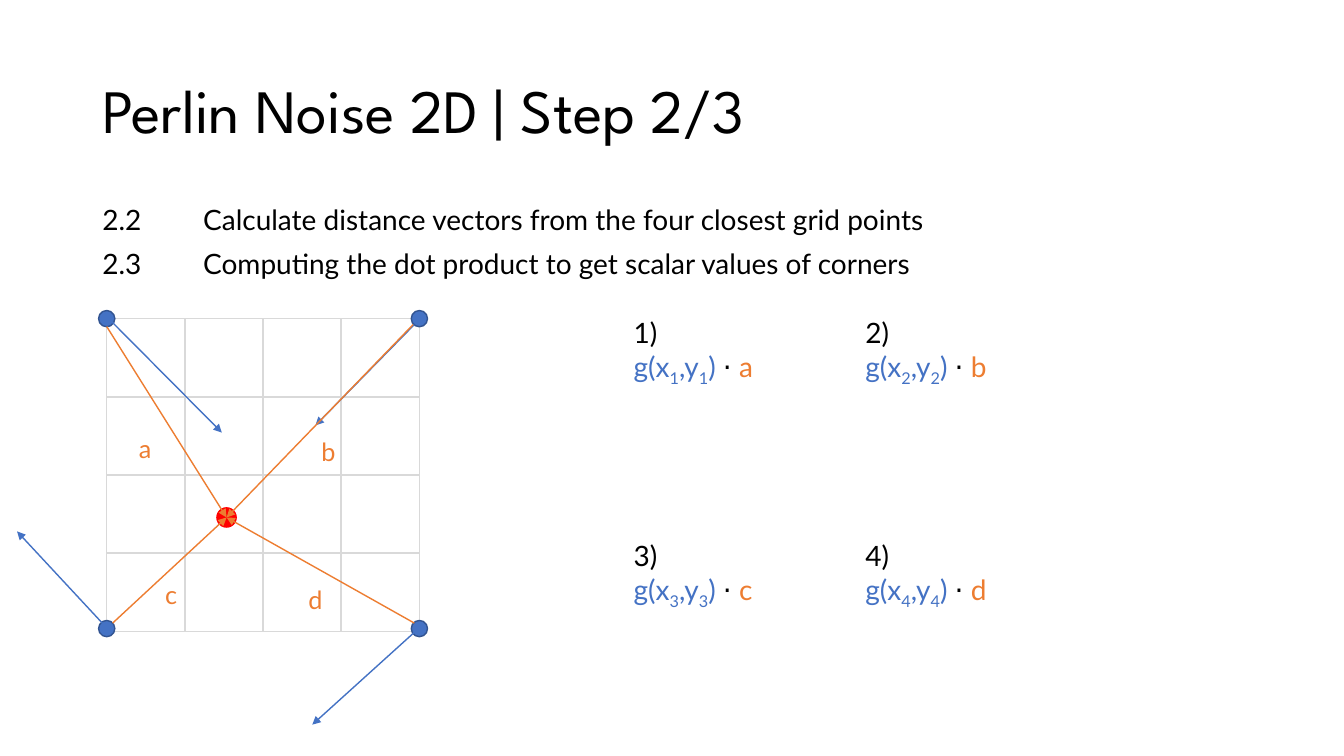
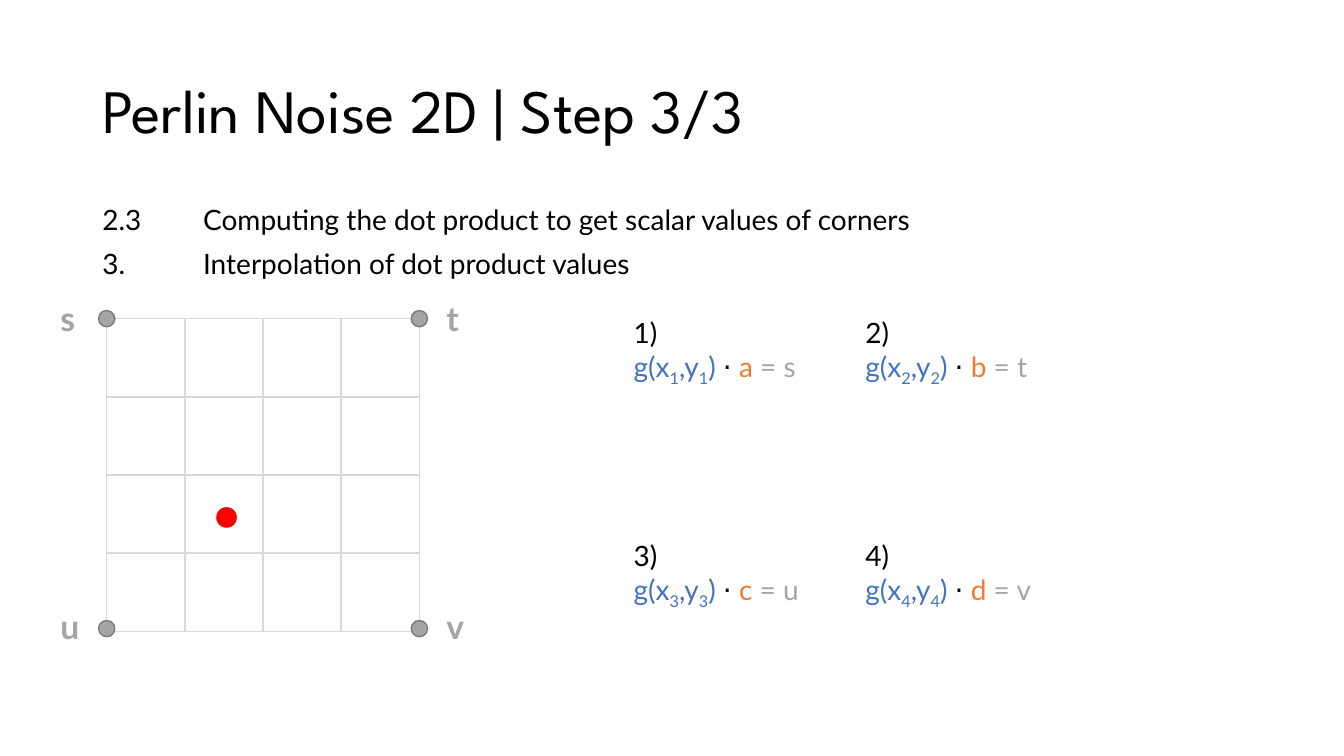
"""Build two slides that explain steps 2 and 3 of 2D Perlin noise."""
import pptx
import pptx.dml.color
import pptx.enum.shapes
import pptx.enum.text
import pptx.oxml
import pptx.oxml.ns
import pptx.util

Cm = pptx.util.Cm
Pt = pptx.util.Pt
SHAPE = pptx.enum.shapes.MSO_SHAPE
ANCHOR = pptx.enum.text.MSO_ANCHOR

BLACK, BLUE, BLUE_EDGE = "000000", "4472C4", "325491"
ORANGE, GREY, GREY_EDGE = "ED7D31", "A5A5A5", "7A7A7A"
GRID_LINE, RED = "D9D9D9", "FF0000"

TITLE = {"name": "League Spartan", "size": Pt(44)}
BODY = {"name": "Lato", "size": Pt(20)}
LABEL = {"name": "Lato", "size": Pt(18)}
VALUE = {"name": "Lato", "size": Pt(24), "bold": True}

DOT_PRODUCT = ("2.3", "Computing the dot product to get scalar values of corners")
SLIDES = [
    {"title": "Perlin Noise 2D | Step 2/3",
     "steps": [("2.2", "Calculate distance vectors from the four closest grid points"),
               DOT_PRODUCT],
     "corner": (BLUE, BLUE_EDGE), "vectors": True},
    {"title": "Perlin Noise 2D | Step 3/3",
     "steps": [DOT_PRODUCT, ("3.", "Interpolation of dot product values")],
     "corner": (GREY, GREY_EDGE), "vectors": False},
]

CORNERS = [
    {"distance": "a", "value": "s", "gradient": (2.74, 8.03, 5.59, 10.9),
     "start": (2.69, 8.23), "label": (3.25, 10.8)},
    {"distance": "b", "value": "t", "gradient": (10.44, 8.18, 7.95, 10.72),
     "start": (10.41, 8.18), "label": (7.85, 10.87)},
    {"distance": "c", "value": "u", "gradient": (2.67, 15.8, 0.43, 13.39),
     "start": (2.84, 15.7), "label": (3.91, 14.48)},
    {"distance": "d", "value": "v", "gradient": (10.59, 15.8, 7.87, 18.26),
     "start": (10.44, 15.7), "label": (7.52, 14.61)},
]

CELLS, CELL = 4, 1.97
GRID_X, GRID_Y = 2.69, 8.03
CORNER_X, CORNER_Y = (2.69, 10.57), (8.03, 15.84)
VALUE_X, VALUE_Y = (1.27, 11), (7.39, 15.14)
FORMULA_X, FORMULA_Y = (15.72, 21.56), (7.83, 13.45)
SAMPLE = (5.71, 13.04)
HANG = Cm(2.54)


def rgb(value):
    return pptx.dml.color.RGBColor.from_string(value)


def add_run(p, text, style, color, subscript=False):
    r = p.add_run()
    r.text = text
    for name, value in style.items():
        setattr(r.font, name, value)
    r.font.color.rgb = rgb(color)
    if subscript:
        r._r.get_or_add_rPr().set("baseline", "-25000")


def add_box(s, x, y, w, h, wrap=True, anchor=ANCHOR.TOP):
    tf = s.shapes.add_textbox(Cm(x), Cm(y), Cm(w), Cm(h)).text_frame
    tf.word_wrap = wrap
    tf.vertical_anchor = anchor
    return tf


def add_label(s, text, position, style, color):
    tf = add_box(s, *position, 0.85, 1.1, wrap=False)
    add_run(tf.paragraphs[0], text, style, color)


def add_heading(s, title, steps):
    p = add_box(s, 2.33, 1.02, 29.21, 3.68, anchor=ANCHOR.MIDDLE).paragraphs[0]
    p.line_spacing = 0.9
    add_run(p, title, TITLE, BLACK)
    tf = add_box(s, 2.33, 5.08, 29.21, 2)
    for i, step in enumerate(steps):
        p = tf.add_paragraph() if i else tf.paragraphs[0]
        pPr = p._p.get_or_add_pPr()
        pPr.set("marL", str(HANG))
        pPr.set("indent", str(-HANG))
        p.line_spacing = 0.9
        p.space_before = Pt(10 if i else 0)
        add_run(p, "\t".join(step), BODY, BLACK)


def add_outlined(shapes, kind, x, y, size, fill=None, line=None):
    sp = shapes.add_shape(kind, Cm(x), Cm(y), Cm(size), Cm(size))
    sp.shadow.inherit = False
    for part, color in ((sp.fill, fill), (sp.line.fill, line)):
        if color:
            part.solid()
            part.fore_color.rgb = rgb(color)
        else:
            part.background()
    if line:
        sp.line.width = Pt(1)


def add_dot(shapes, center, size, fill, line=None):
    x, y = (c - size / 2 for c in center)
    add_outlined(shapes, SHAPE.OVAL, x, y, size, fill, line)


def add_arrow(shapes, start, end, color):
    points = [Cm(c) for c in (*start, *end)]
    sp = shapes.add_connector(pptx.enum.shapes.MSO_CONNECTOR.STRAIGHT, *points)
    sp.line.color.rgb = rgb(color)
    sp.line.width = Pt(1)
    tail = pptx.oxml.parse_xml(
        f'<a:tailEnd {pptx.oxml.ns.nsdecls("a")} type="triangle"/>')
    sp.line._get_or_add_ln().append(tail)
    effects = pptx.oxml.parse_xml(f'<a:effectLst {pptx.oxml.ns.nsdecls("a")}/>')
    sp._element.spPr.append(effects)


def add_grid(s, corner_colors, vectors):
    shapes = s.shapes.add_group_shape().shapes
    add_dot(shapes, SAMPLE, 0.52, RED)
    for i in range(CELLS * CELLS):
        row, col = divmod(i, CELLS)
        add_outlined(shapes, SHAPE.RECTANGLE, GRID_X + col * CELL,
                     GRID_Y + row * CELL, CELL, line=GRID_LINE)
    for y in CORNER_Y:
        for x in CORNER_X:
            add_dot(shapes, (x, y), 0.41, *corner_colors)
    if vectors:
        for corner in CORNERS:
            gradient = corner["gradient"]
            add_arrow(shapes, gradient[:2], gradient[2:], BLUE)
        for corner in CORNERS:
            add_arrow(shapes, corner["start"], SAMPLE, ORANGE)


def add_formula(s, number, position, distance, value=None):
    p = add_box(s, *position, 7.85, 2.8).paragraphs[0]
    add_run(p, f"{number})", BODY, BLACK)
    p.add_line_break()
    for text, subscript in (("g(x", False), (number, True), (",y", False),
                            (number, True), (")", False)):
        add_run(p, text, BODY, BLUE, subscript)
    add_run(p, " ⋅ ", BODY, BLACK)
    add_run(p, distance, BODY, ORANGE)
    if value:
        add_run(p, f" = {value}", BODY, GREY)


def main():
    prs = pptx.Presentation()
    prs.slide_width, prs.slide_height = Cm(33.87), Cm(19.05)
    for content in SLIDES:
        s = prs.slides.add_slide(prs.slide_layouts[6])
        vectors = content["vectors"]
        add_heading(s, content["title"], content["steps"])
        add_grid(s, content["corner"], vectors)
        for i, corner in enumerate(CORNERS):
            row, col = divmod(i, 2)
            add_formula(s, str(i + 1), (FORMULA_X[col], FORMULA_Y[row]),
                        corner["distance"], None if vectors else corner["value"])
            if vectors:
                add_label(s, corner["distance"], corner["label"], LABEL, ORANGE)
            else:
                add_label(s, corner["value"], (VALUE_X[col], VALUE_Y[row]),
                          VALUE, GREY)
    prs.save("out.pptx")


if __name__ == "__main__":
    main()
